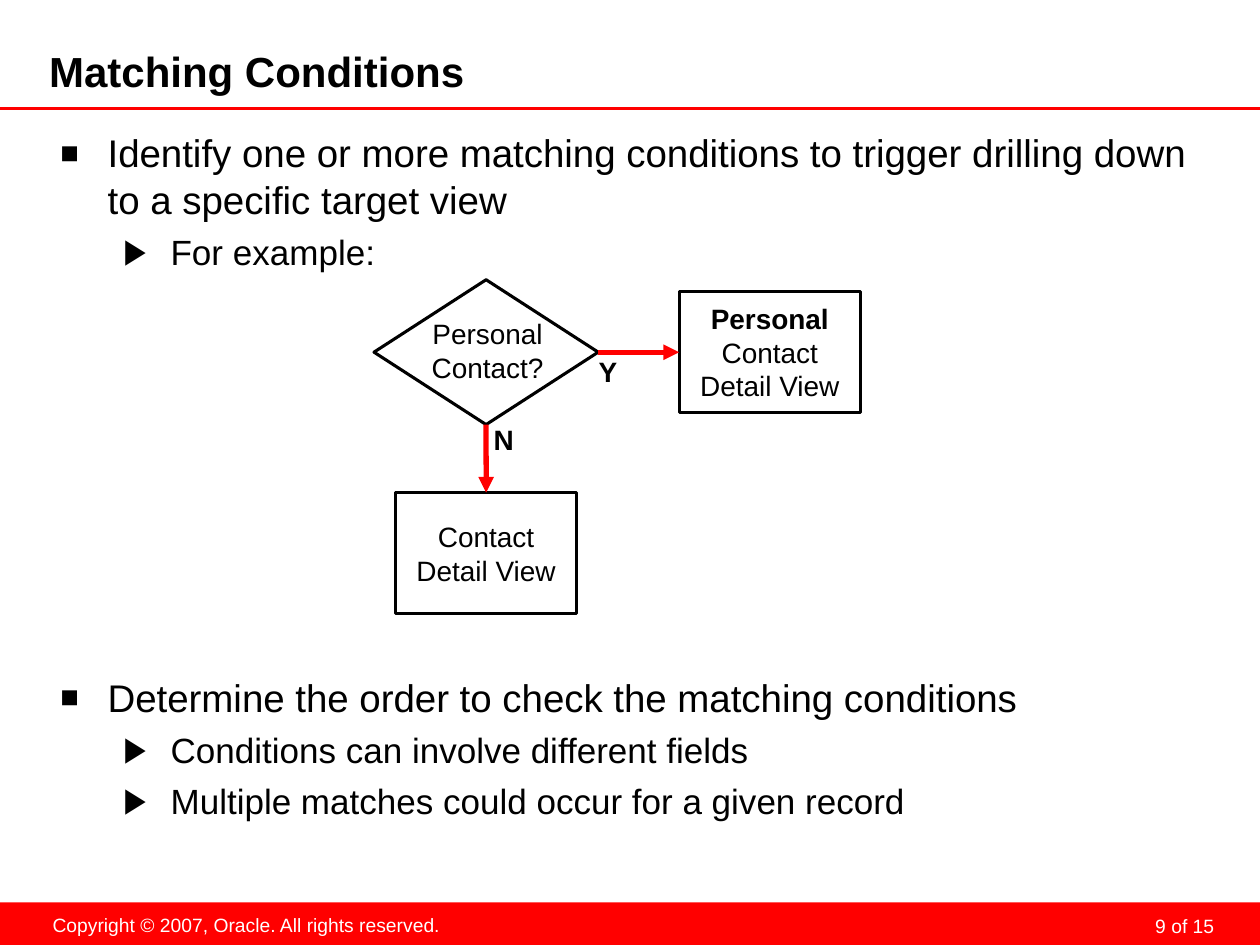
import pptx
import pptx.dml.color
import pptx.enum.shapes
import pptx.enum.text
import pptx.oxml
import pptx.oxml.ns
import pptx.util
from lxml import etree

Cm = pptx.util.Cm
Pt = pptx.util.Pt
ALIGN = pptx.enum.text.PP_ALIGN
ANCHOR = pptx.enum.text.MSO_ANCHOR
SHAPE = pptx.enum.shapes.MSO_SHAPE
TEXT_INSETS = (0.25, 0.13, 0.25, 0.13)
RED, BLACK, WHITE = "FF0000", "000000", "FFFFFF"


def color(hex_string):
    return pptx.dml.color.RGBColor.from_string(hex_string)


def add_element(parent, tag, **attributes):
    return etree.SubElement(parent, pptx.oxml.ns.qn(tag), attributes)


class SlideBuilder:
    """Holds the style and the current slide."""

    font = "Arial"
    outline = 1.75
    # Per level: bullet, size in percent, text size, left indent in cm, space before
    levels = [("■", 80, 22, 0.95, 5.5), ("▶", 100, 20, 2.22, 5)]
    hanging = 0.95

    def __init__(self, deck):
        self.page = deck.slides.add_slide(deck.slide_layouts[5])

    def span(self, para, text, size, bold=False, ink=BLACK):
        span = para.add_run()
        span.text = text
        span.font.name = self.font
        span.font.size = Pt(size)
        span.font.bold = bold
        span.font.color.rgb = color(ink)

    def frame(self, box, insets=TEXT_INSETS, anchor=ANCHOR.TOP, wrap=True):
        frame = box.text_frame
        frame.auto_size = pptx.enum.text.MSO_AUTO_SIZE.NONE
        frame.word_wrap = wrap
        frame.vertical_anchor = anchor
        (frame.margin_left, frame.margin_top,
         frame.margin_right, frame.margin_bottom) = map(Cm, insets)
        return frame

    def title(self, text, left, top, width, height):
        box = self.page.shapes.title
        box.left, box.top, box.width, box.height = map(Cm, (left, top, width, height))
        para = self.frame(box, (0, 0, 0.13, 0.13), ANCHOR.MIDDLE).paragraphs[0]
        para.alignment = ALIGN.LEFT
        self.span(para, text, 24, bold=True)

    def text(self, lines, left, top, width, height, size=16, bold=False, ink=BLACK,
             align=ALIGN.CENTER, insets=TEXT_INSETS, wrap=False, spacing=None):
        box = self.page.shapes.add_textbox(*map(Cm, (left, top, width, height)))
        frame = self.frame(box, insets, wrap=wrap)
        for number, line in enumerate(lines):
            para = frame.add_paragraph() if number else frame.paragraphs[0]
            para.alignment = align
            if spacing:
                para.line_spacing = Pt(spacing)
            self.span(para, line, size, bold, ink)

    def bullets(self, items, left, top, width, height):
        box = self.page.shapes.add_textbox(*map(Cm, (left, top, width, height)))
        frame = self.frame(box, (0.25, 0.25, 0.25, 0.13))
        for number, (level, line) in enumerate(items):
            mark, percent, size, indent, space = self.levels[level]
            para = frame.add_paragraph() if number else frame.paragraphs[0]
            para.level = level
            properties = para._p.get_or_add_pPr()
            properties.set("marL", str(Cm(indent)))
            properties.set("indent", str(-Cm(self.hanging)))
            add_element(add_element(properties, "a:buClr"), "a:srgbClr", val=BLACK)
            add_element(properties, "a:buSzPct", val=str(percent * 1000))
            add_element(properties, "a:buFont", typeface=self.font)
            add_element(properties, "a:buChar", char=mark)
            if number:
                para.space_before = Pt(space)
            self.span(para, line, size)

    def shape(self, kind, left, top, width, height, fill=None, spans=()):
        shape = self.page.shapes.add_shape(kind, *map(Cm, (left, top, width, height)))
        shape.shadow.inherit = False
        if fill:
            shape.fill.solid()
            shape.fill.fore_color.rgb = color(fill)
            shape.line.fill.background()
        else:
            shape.fill.background()
            shape.line.color.rgb = color(BLACK)
            shape.line.width = Pt(self.outline)
        para = self.frame(shape, anchor=ANCHOR.MIDDLE).paragraphs[0]
        para.alignment = ALIGN.CENTER
        for text, bold in spans:
            self.span(para, text, 16, bold)
        return shape

    def line(self, start, end, width):
        line = self.page.shapes.add_connector(
            pptx.enum.shapes.MSO_CONNECTOR.STRAIGHT, *map(Cm, start + end))
        line.line.color.rgb = color(RED)
        line.line.width = Pt(width)
        add_element(line._element.spPr, "a:effectLst")
        return line

    def arrow(self, source, source_side, target, target_side):
        arrow = self.line((0, 0), (1, 1), 3)
        arrow.begin_connect(source, source_side)
        arrow.end_connect(target, target_side)
        add_element(arrow.line._get_or_add_ln(), "a:tailEnd", type="triangle")


def main():
    deck = pptx.Presentation()
    deck.slide_width, deck.slide_height = Cm(25.4), Cm(19.05)
    slide = SlideBuilder(deck)

    # Footer band and title rule
    slide.shape(SHAPE.RECTANGLE, 0, 18.19, 25.4, 0.86, fill=RED)
    slide.text(["9 of 15"], 18.69, 18.26, 5.92, 0.64, size=11, ink=WHITE,
               align=ALIGN.RIGHT, insets=(0.13, 0, 0.13, 0), wrap=True, spacing=18)
    slide.text(["Copyright © 2007, Oracle. All rights reserved."],
               0.79, 18.29, 8.36, 0.74, size=11, ink=WHITE)
    slide.line((0, 2.18), (25.4, 2.18), 1.75)
    slide.title("Matching Conditions", 0.99, 0.97, 19.99, 1.02)

    # Bullet lists above and below the flowchart
    slide.bullets([
        (0, "Identify one or more matching conditions to trigger drilling down "
            "to a specific target view"),
        (1, "For example:"),
    ], 0.97, 2.36, 23.62, 3.3)
    slide.bullets([
        (0, "Determine the order to check the matching conditions"),
        (1, "Conditions can involve different fields"),
        (1, "Multiple matches could occur for a given record"),
    ], 0.97, 13.33, 23.62, 3.6)

    # Flowchart, centred on the decision
    center_x, center_y = 9.8, 7.1
    diamond_width, diamond_height = 4.52, 2.92
    view_width, view_height = 3.66, 2.44
    decision = slide.shape(SHAPE.FLOWCHART_DECISION, center_x - diamond_width / 2,
                           center_y - diamond_height / 2, diamond_width, diamond_height)
    personal_view = slide.shape(
        SHAPE.RECTANGLE, 13.69, center_y - view_height / 2, view_width, view_height,
        spans=[("Personal", True), (" Contact Detail View", False)])
    contact_view = slide.shape(
        SHAPE.RECTANGLE, center_x - view_width / 2, 9.93, view_width, view_height,
        spans=[("Contact Detail View", False)])
    slide.text(["Personal", "Contact?"], 8.37, 6.25, 2.92, 1.63)
    slide.arrow(decision, 3, personal_view, 1)
    slide.arrow(decision, 2, contact_view, 0)
    slide.text(["Y"], 11.81, 7.01, 0.89, 0.94, bold=True)
    slide.text(["N"], 9.7, 8.38, 0.91, 0.94, bold=True)

    deck.save("out.pptx")


if __name__ == "__main__":
    main()
